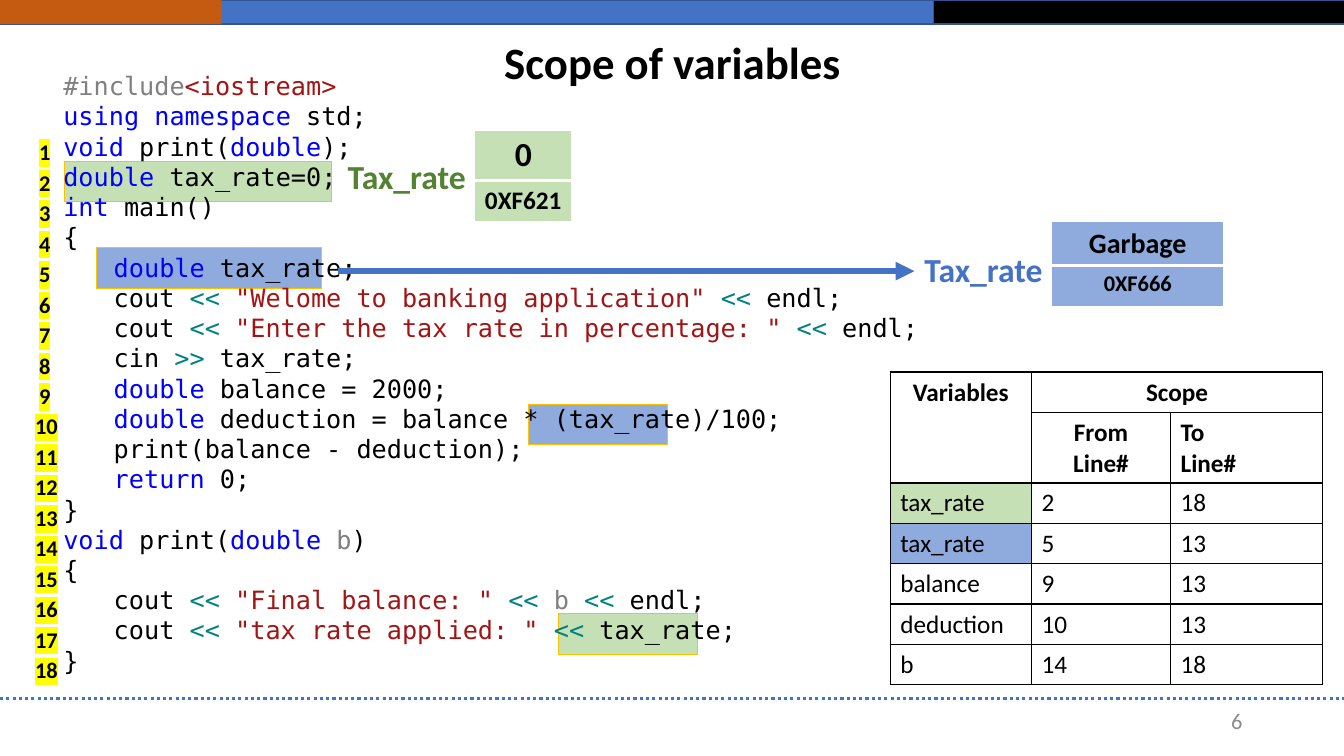
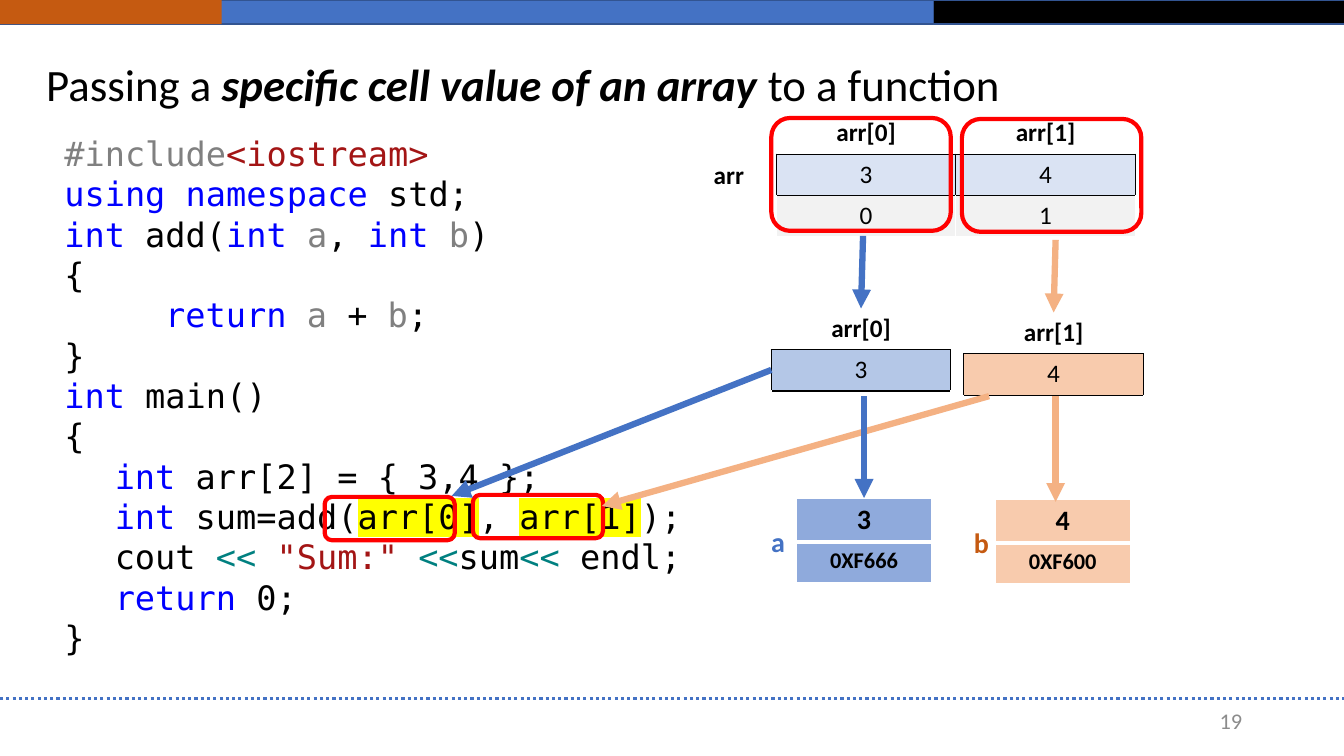
"""Two lecture slides on C++ variable scope and array cells as arguments."""
from dataclasses import dataclass, field

from lxml import etree
from pptx import Presentation
from pptx.dml.color import RGBColor
from pptx.enum import dml, shapes, text
from pptx.oxml import ns
from pptx.util import Inches, Pt

BODY_FONT, CODE_FONT = "Calibri", "DejaVu Sans Mono"
BLACK, WHITE, RED, YELLOW, GREY = "000000", "FFFFFF", "FF0000", "FFFF00", "8C8C8C"
BLUE, BLUE_EDGE, SKY, PALE_BLUE, ICE = "4472C4", "325491", "8FAADC", "B4C7E7", "DAE3F3"
RUST, ORANGE, PEACH = "C55A11", "F4B183", "F8CBAD"
GREEN, MINT, GOLD, MIST = "548235", "C5E0B4", "FFC000", "F2F2F2"
LEFT, CENTER, RIGHT = text.PP_ALIGN.LEFT, text.PP_ALIGN.CENTER, text.PP_ALIGN.RIGHT
SIDES = "LRTB"

# Code spans are parted by "|"; the first letter of each names its role here.
CODE_COLOURS = {"k": "0000FF", "s": "A31515", "o": "008080", "g": "808080",
                "-": BLACK, "h": BLACK}

# Each leading ">" moves a code line in by one step.
SCOPE_CODE = """g#include|s<iostream>
kusing namespace|- std;
kvoid|- print(|kdouble|-);
kdouble |-tax_rate=0;
kint|- main()
-{
>kdouble |-tax_rate;
>-cout |o<< |s"Welome to banking application" |o<< |-endl;
>-cout |o<< |s"Enter the tax rate in percentage: " |o<< |-endl;
>-cin |o>> |-tax_rate;
>kdouble|- balance = 2000;
>kdouble|- deduction = balance * (tax_rate)/100;
>-print(balance - deduction);
>kreturn|- 0;
-}
kvoid|- print(|kdouble |gb|-)
-{
>-cout |o<< |s"Final balance: " |o<< |gb |o<< |-endl;
>-cout |o<< |s"tax rate applied: " |o<< |-tax_rate;
-}"""

ARRAY_CODE = """g#include|s<iostream>
kusing namespace|- std;
kint|- add(|kint |ga|-, |kint |gb|-)
-{
>>kreturn |ga|- + |gb|-;
-}
kint|- main()
-{
>kint |-arr[2] = { 3,4 };
>kint|- sum=add(|harr[0]|-, |harr[1]|-);
>-cout |o<< |s"Sum:" |o<<|-sum|o<< |-endl;
>kreturn|- 0;
-}"""


@dataclass
class Cell:
    """Content and look of one table cell; edges maps a side to (colour, points)."""
    words: str = ""
    fill: str = WHITE
    size: int = 18
    bold: bool = False
    align: object = CENTER
    edges: dict = field(default_factory=dict)


def colour(value):
    """Turn a hex string into a colour."""
    return RGBColor.from_string(value)


def inches(numbers):
    """Turn plain numbers into lengths."""
    return [Inches(number) for number in numbers]


def edges(default=WHITE, **changes):
    """Give all four sides a thin line, with changes for single sides."""
    return {side: changes.get(side, (default, 1)) for side in SIDES}


def style_span(span, size, tint=BLACK, bold=False, italic=False, font=BODY_FONT,
               marked=False):
    """Format one run, with a yellow highlight if marked."""
    span.font.name, span.font.size = font, Pt(size)
    span.font.bold, span.font.italic = bold, italic
    span.font.color.rgb = colour(tint)
    if marked:
        highlight = etree.Element(ns.qn("a:highlight"))
        etree.SubElement(highlight, ns.qn("a:srgbClr"), val=YELLOW)
        span._r.get_or_add_rPr().find(ns.qn("a:solidFill")).addnext(highlight)


def add_box(page, place, anchor=text.MSO_ANCHOR.TOP):
    """Add a wrapping text box and return its text frame."""
    frame = page.shapes.add_textbox(*inches(place)).text_frame
    frame.word_wrap = True
    frame.vertical_anchor = anchor
    return frame


def add_label(page, place, words, size, tint=BLACK, bold=True, align=LEFT,
              spacing=None, marked=False, anchor=text.MSO_ANCHOR.TOP):
    """Add a one-line text in a single style."""
    para = add_box(page, place, anchor).paragraphs[0]
    para.text = words
    para.alignment, para.line_spacing = align, spacing
    style_span(para.runs[0], size, tint, bold, marked=marked)


def add_title(page, left, top, spans, align=LEFT):
    """Add the title from (words, emphasis) spans, where emphasis holds b or i."""
    place = (left, top, 11.5, 0.84)
    para = add_box(page, place, text.MSO_ANCHOR.MIDDLE).paragraphs[0]
    para.alignment, para.line_spacing = align, 0.9
    for words, emphasis in spans:
        span = para.add_run()
        span.text = words
        style_span(span, 32, bold="b" in emphasis, italic="i" in emphasis)


def add_code(page, place, code, size):
    """Add a coloured code listing."""
    frame = add_box(page, place)
    for number, line in enumerate(code.split("\n")):
        para = frame.add_paragraph() if number else frame.paragraphs[0]
        marked_up = line.lstrip(">")
        steps = len(line) - len(marked_up)
        if steps:
            properties = para._p.get_or_add_pPr()
            properties.set("marL", str(Inches(0.5 * steps)))
            properties.set("indent", "0")
        for part in marked_up.split("|"):
            role, words = part[0], part[1:]
            span = para.add_run()
            span.text = words
            style_span(span, size, CODE_COLOURS[role], font=CODE_FONT,
                       marked=role == "h")


def add_block(page, place, fill=None, edge=None, width=1.0,
              kind=shapes.MSO_SHAPE.RECTANGLE):
    """Add a plain shape with an optional fill and outline."""
    block = page.shapes.add_shape(kind, *inches(place))
    block.shadow.inherit = False
    if fill:
        block.fill.solid()
        block.fill.fore_color.rgb = colour(fill)
    else:
        block.fill.background()
    if edge:
        block.line.color.rgb = colour(edge)
        block.line.width = Pt(width)
    else:
        block.line.fill.background()


def add_ring(page, place):
    """Circle something with a rounded red outline."""
    add_block(page, place, edge=RED, width=3,
              kind=shapes.MSO_SHAPE.ROUNDED_RECTANGLE)


def add_line(page, start, end, tint, width):
    """Add a straight line without a shadow."""
    line = page.shapes.add_connector(shapes.MSO_CONNECTOR.STRAIGHT,
                                     *inches(start + end))
    line.line.color.rgb = colour(tint)
    line.line.width = Pt(width)
    etree.SubElement(line._element.spPr, ns.qn("a:effectLst"))
    return line


def add_arrow(page, start, end, tint):
    """Add a thick arrow."""
    line = add_line(page, start, end, tint, 4.5)
    outline = line._element.spPr.find(ns.qn("a:ln"))
    etree.SubElement(outline, ns.qn("a:tailEnd"), type="triangle")


def style_cell(target, cell):
    """Apply a Cell to a table cell: borders, then fill, then text."""
    properties = target._tc.get_or_add_tcPr()
    for side in SIDES:
        tint, width = cell.edges[side]
        border = etree.SubElement(properties, ns.qn("a:ln" + side), w=str(Pt(width)))
        solid = etree.SubElement(border, ns.qn("a:solidFill"))
        etree.SubElement(solid, ns.qn("a:srgbClr"), val=tint)
    target.fill.solid()
    target.fill.fore_color.rgb = colour(cell.fill)
    target.text_frame.text = cell.words
    for para in target.text_frame.paragraphs:
        para.alignment = cell.align
        for span in para.runs:
            style_span(span, cell.size, bold=cell.bold)


def add_grid(page, left, top, widths, row_height, rows):
    """Add a table from rows of Cell and return it."""
    place = (left, top, sum(widths), row_height * len(rows))
    grid = page.shapes.add_table(len(rows), len(widths), *inches(place)).table
    grid.first_row = grid.horz_banding = False
    for column, width in zip(grid.columns, widths):
        column.width = Inches(width)
    for r, row in enumerate(rows):
        for c, cell in enumerate(row):
            style_cell(grid.cell(r, c), cell)
    return grid


def add_memory(page, left, top, width, value, address, fill, sizes=(20, 16)):
    """Show a variable's value above its address."""
    gap = (WHITE, 3)
    add_grid(page, left, top, [width], 0.41, [
        [Cell(value, fill, sizes[0], True, edges=edges(B=gap))],
        [Cell(address, fill, sizes[1], True, edges=edges(T=gap))]])


def add_array(page, left, top, names, values, fill, indexes, index_fill=WHITE):
    """Show array cells with names above and indexes below."""
    rule = (BLACK, 1)
    add_grid(page, left, top, [1.78] * len(names), 0.41, [
        [Cell(name, bold=True, edges=edges(B=rule)) for name in names],
        [Cell(value, fill, edges=edges(BLACK)) for value in values],
        [Cell(index, index_fill, edges=edges(T=rule)) for index in indexes]])


def add_scope_table(page):
    """List the lines over which each variable can be used."""
    heads = [["Variables", "Scope", ""], ["", "From\nLine#", "To\nLine#"]]
    scopes = [("tax_rate", "2", "18"), ("tax_rate", "5", "13"), ("balance", "9", "13"),
              ("deduction", "10", "13"), ("b", "14", "18")]
    fills = [MINT, SKY, WHITE, WHITE, WHITE]
    black = edges(BLACK)
    rows = [[Cell(words, bold=True, align=LEFT if words.startswith("To") else CENTER,
                  edges=black) for words in head] for head in heads]
    for scope, fill in zip(scopes, fills):
        rows.append([Cell(words, tint, align=LEFT, edges=black)
                     for words, tint in zip(scope, (fill, WHITE, WHITE))])
    grid = add_grid(page, 8.83, 3.69, [1.4, 1.38, 1.51], 0.4, rows)
    grid.cell(0, 0).merge(grid.cell(1, 0))
    grid.cell(0, 1).merge(grid.cell(0, 2))


def add_page(deck, number):
    """Add a blank slide with the bands, the footer rule and the page number."""
    page = deck.slides.add_slide(deck.slide_layouts[6])
    add_block(page, (0, 0, 9.26, 0.24), BLUE, BLUE_EDGE)
    add_block(page, (9.26, 0, 4.08, 0.24), BLACK, BLUE_EDGE)
    add_block(page, (0, 0, 2.2, 0.24), RUST)
    rule = add_line(page, (0, 6.93), (13.33, 6.93), BLUE, 2.25)
    rule.line.dash_style = dml.MSO_LINE.ROUND_DOT
    add_label(page, (9.42, 6.95, 3, 0.4), str(number), 16, GREY, False, RIGHT,
              anchor=text.MSO_ANCHOR.MIDDLE)
    return page


def build_scope_page(deck):
    """Show global and local variables with the same name."""
    page = add_page(deck, 6)
    for left, top, width, fill in [(5.24, 4.01, 1.38, SKY), (5.54, 6.09, 1.38, MINT),
                                   (0.96, 2.46, 2.23, SKY), (0.64, 1.6, 2.65, MINT)]:
        add_block(page, (left, top, width, 0.4), fill, GOLD, 0.75)
    add_code(page, (0.53, 0.65, 8.93, 6.16), SCOPE_CODE, 18)
    add_memory(page, 4.71, 1.29, 0.96, "0", "0XF621", MINT, (24, 18))
    add_label(page, (3.35, 1.5, 1.55, 0.5), "Tax_rate", 24, GREEN)
    add_memory(page, 10.43, 2.2, 1.71, "Garbage", "0XF666", SKY)
    add_label(page, (9.07, 2.42, 1.55, 0.5), "Tax_rate", 24, BLUE)
    add_arrow(page, (3.35, 2.69), (9.07, 2.69), BLUE)
    add_title(page, 0.92, 0.22, [("Scope of variables", "b")], CENTER)
    add_scope_table(page)
    for number in range(1, 19):
        left = 0.29 if number < 10 else 0.25
        top = 1.19 + 0.3 * (number - 1) * 1.008
        add_label(page, (left, top, 0.62, 0.46), str(number), 16, spacing=1.5,
                  marked=True)


def build_array_page(deck):
    """Follow two array cells into the parameters of a function."""
    page = add_page(deck, 19)
    add_title(page, 0.36, 0.44, [("Passing a ", ""),
                                 ("specific cell value of an array ", "bi"),
                                 ("to a function", "")])
    add_code(page, (0.54, 1.27, 6.67, 5.76), ARRAY_CODE, 24)
    add_array(page, 7.7, 1.12, ["arr[0]", "arr[1]"], "34", ICE, "01", MIST)
    add_label(page, (6.98, 1.53, 0.6, 0.4), "arr", 18)
    add_memory(page, 7.9, 4.94, 1.34, "3", "0XF666", SKY)
    add_label(page, (7.55, 5.15, 0.6, 0.44), "a", 20, BLUE)
    add_memory(page, 9.87, 4.95, 1.34, "4", "0XF600", PEACH)
    add_label(page, (9.56, 5.16, 0.6, 0.44), "b", 20, RUST)
    add_array(page, 7.65, 3.06, ["arr[0]"], "3", PALE_BLUE, [""])
    add_array(page, 9.56, 3.1, ["arr[1]"], "4", PEACH, [""])
    for place in [(3.22, 4.93, 1.29, 0.43), (4.69, 4.91, 1.29, 0.43),
                  (7.65, 1.17, 1.78, 1.12), (9.54, 1.18, 1.78, 1.12)]:
        add_ring(page, place)
    for start, end, tint in [((8.56, 2.34), (8.54, 3.06), BLUE),
                             ((10.47, 2.38), (10.45, 3.1), ORANGE),
                             ((7.65, 3.67), (4.48, 4.92), BLUE),
                             ((9.81, 3.93), (5.97, 5.02), ORANGE),
                             ((8.57, 3.93), (8.57, 4.94), BLUE),
                             ((10.47, 3.93), (10.47, 4.98), ORANGE)]:
        add_arrow(page, start, end, tint)


def main():
    """Build and save the deck."""
    deck = Presentation()
    deck.slide_width, deck.slide_height = Inches(13.33), Inches(7.5)
    build_scope_page(deck)
    build_array_page(deck)
    deck.save("out.pptx")


main()
